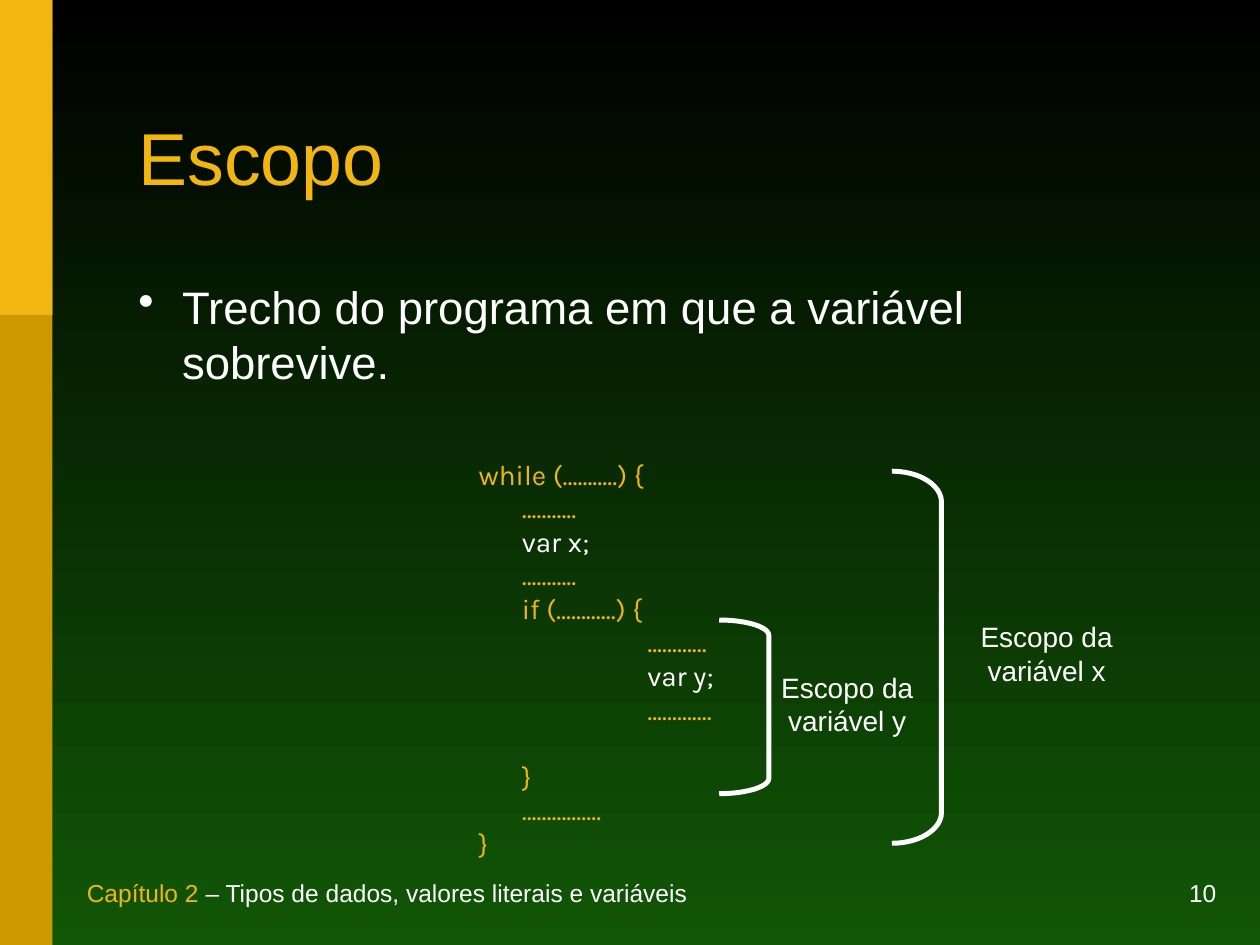
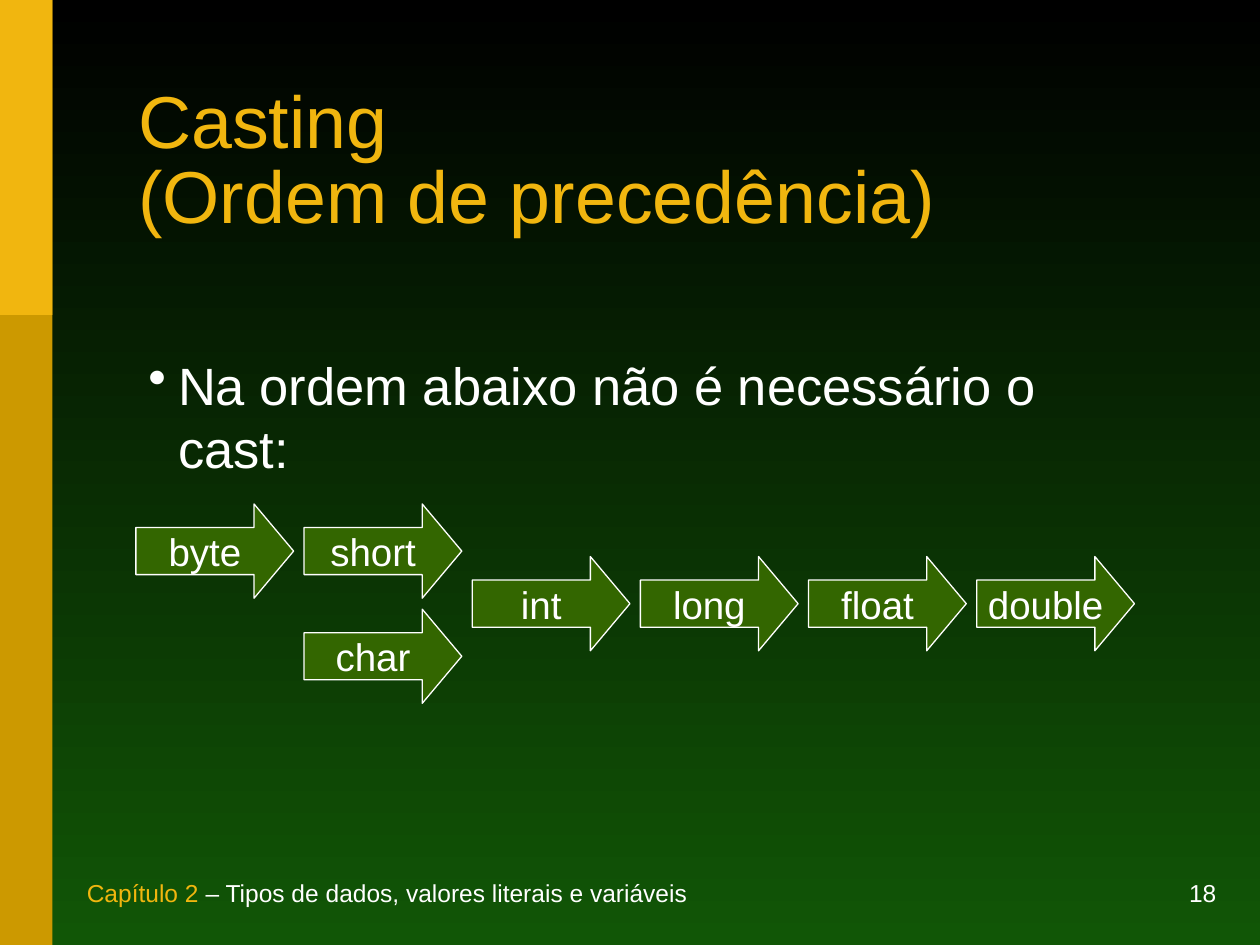
from lxml import etree
from pptx import Presentation
from pptx.dml.color import RGBColor
from pptx.enum.shapes import MSO_SHAPE
from pptx.enum.text import MSO_ANCHOR, PP_ALIGN
from pptx.oxml.ns import qn
from pptx.util import Cm, Pt

BLACK = RGBColor(0x00, 0x00, 0x00)
WHITE = RGBColor(0xFF, 0xFF, 0xFF)
GREEN = RGBColor(0x11, 0x56, 0x06)
ARROW_GREEN = RGBColor(0x33, 0x66, 0x00)
YELLOW = RGBColor(0xF1, 0xB6, 0x0F)
OCHRE = RGBColor(0xCC, 0x99, 0x00)

RECTANGLE = MSO_SHAPE.RECTANGLE
RIGHT_ARROW = MSO_SHAPE.RIGHT_ARROW
RIGHT_BRACKET = MSO_SHAPE.RIGHT_BRACKET
TOP, MIDDLE, BOTTOM = MSO_ANCHOR.TOP, MSO_ANCHOR.MIDDLE, MSO_ANCHOR.BOTTOM
LEFT, CENTER, RIGHT = PP_ALIGN.LEFT, PP_ALIGN.CENTER, PP_ALIGN.RIGHT


def write(shape, *lines, size, color=WHITE, font="Arial", align=LEFT, anchor=TOP,
          wrap=True, indent=0, bullet=False, line_spacing=None):
    """Fill a shape with lines, each a string or a list of (text, color) runs."""
    frame = shape.text_frame
    frame.word_wrap = wrap
    frame.vertical_anchor = anchor
    for number, line in enumerate(lines):
        paragraph = frame.add_paragraph() if number else frame.paragraphs[0]
        paragraph.alignment = align
        paragraph.line_spacing = line_spacing
        for text, run_color in [(line, color)] if isinstance(line, str) else line:
            run = paragraph.add_run()
            run.text = text
            run.font.name = font
            run.font.size = Pt(size)
            run.font.color.rgb = run_color
        if bullet:
            properties = paragraph._p.get_or_add_pPr()
            properties.set("marL", str(Cm(indent)))
            properties.set("indent", str(-Cm(indent)))
            etree.SubElement(properties, qn("a:buChar")).set("char", "•")


def add_shape(slide, kind, left, top, width, height, fill=None, line=None, line_width=0.75):
    shape = slide.shapes.add_shape(kind, Cm(left), Cm(top), Cm(width), Cm(height))
    shape.shadow.inherit = False
    for format_part, color in ((shape.fill, fill), (shape.line.fill, line)):
        if color is None:
            format_part.background()
        else:
            format_part.solid()
            format_part.fore_color.rgb = color
    if line is not None:
        shape.line.width = Pt(line_width)
    return shape


presentation = Presentation()
presentation.slide_width = Cm(25.4)
presentation.slide_height = Cm(19.05)

# Shared background: black at the top to green at the bottom
background = presentation.slide_master.background.fill
background.gradient()
background.gradient_angle = 270
for stop, color in zip(background.gradient_stops, (BLACK, GREEN)):
    stop.color.rgb = color

# Shared side bands, footer, page number and title
slides = []
for page, title_lines in (("10", ["Escopo"]),
                          ("18", ["Casting", "(Ordem de precedência)"])):
    slide = presentation.slides.add_slide(presentation.slide_layouts[6])
    slides.append(slide)
    add_shape(slide, RECTANGLE, 0, 0, 1.06, 19.05, fill=OCHRE)
    add_shape(slide, RECTANGLE, 0, 0, 1.06, 6.35, fill=YELLOW)
    page_number = slide.shapes.add_textbox(Cm(18.42), Cm(17.78), Cm(6.35), Cm(0.64))
    write(page_number, page, size=14, align=RIGHT, anchor=BOTTOM)
    footer = slide.shapes.add_textbox(Cm(1.5), Cm(17.78), Cm(14), Cm(0.64))
    write(footer, [("Capítulo 2", YELLOW),
                   (" – Tipos de dados, valores literais e variáveis", WHITE)],
          size=14, anchor=BOTTOM)
    title = slide.shapes.add_textbox(Cm(2.54), Cm(1.7), Cm(20.96), Cm(3.18))
    write(title, *title_lines, size=42, color=YELLOW, anchor=MIDDLE, line_spacing=0.85)

scope_slide, casting_slide = slides

# Scope: definition, code and one bracket per variable
definition = scope_slide.shapes.add_textbox(Cm(2.54), Cm(5.51), Cm(20.96), Cm(3))
write(definition, "Trecho do programa em que a variável sobrevive.",
      size=26, indent=0.88, bullet=True)

CODE = [
    (0, "while (...........) {"),
    (1, "..........."),
    (1, "var x;"),
    (1, "..........."),
    (1, "if (............) {"),
    (2, "............"),
    (2, "var y;"),
    (2, "............."),
    (1, "}"),
    (1, "................"),
    (0, "}"),
]
CODE_INDENTS = (0.08, 0.95, 3.48)
code = scope_slide.shapes.add_textbox(Cm(9.32), Cm(9.09), Cm(8.05), Cm(6.55))
write(code, *[[(text, WHITE if text.startswith("var") else YELLOW)] for _, text in CODE],
      size=16, font="Karla")
code_paragraphs = code.text_frame.paragraphs
for paragraph, (depth, _) in zip(code_paragraphs, CODE):
    paragraph._p.get_or_add_pPr().set("marL", str(Cm(CODE_INDENTS[depth])))
code_paragraphs[8].space_before = Pt(19.2)  # gap before the inner block closes

for variable, left, top, height, curve, label_left, label_top in (
        ("x", 17.98, 9.5, 7.5, 0.62, 19.51, 12.37),
        ("y", 14.5, 12.5, 3.5, 0.31, 15.49, 13.39)):
    bracket = add_shape(scope_slide, RIGHT_BRACKET, left, top, 1, height,
                        line=WHITE, line_width=2.83)
    bracket.adjustments[0] = curve
    label = scope_slide.shapes.add_textbox(Cm(label_left), Cm(label_top), Cm(3.18), Cm(1.6))
    write(label, "Escopo da", f"variável {variable}", size=16, align=CENTER, wrap=False)

# Casting: types in order, on a grid of columns and half-height rows
for name, column, row in (("byte", 0, 0), ("short", 1, 0), ("int", 2, 1), ("long", 3, 1),
                          ("float", 4, 1), ("double", 5, 1), ("char", 1, 2)):
    arrow = add_shape(casting_slide, RIGHT_ARROW, 2.74 + 3.39 * column, 10.16 + 1.06 * row,
                      3.18, 1.9, fill=ARROW_GREEN, line=WHITE)
    arrow.adjustments[1] = 0.42
    write(arrow, name, size=22, align=CENTER, anchor=MIDDLE, wrap=False)

rule = casting_slide.shapes.add_textbox(Cm(2.74), Cm(6.99), Cm(20.7), Cm(1.52))
write(rule, "Na ordem abaixo não é necessário o cast:", size=30, indent=0.6, bullet=True)

presentation.save("out.pptx")
